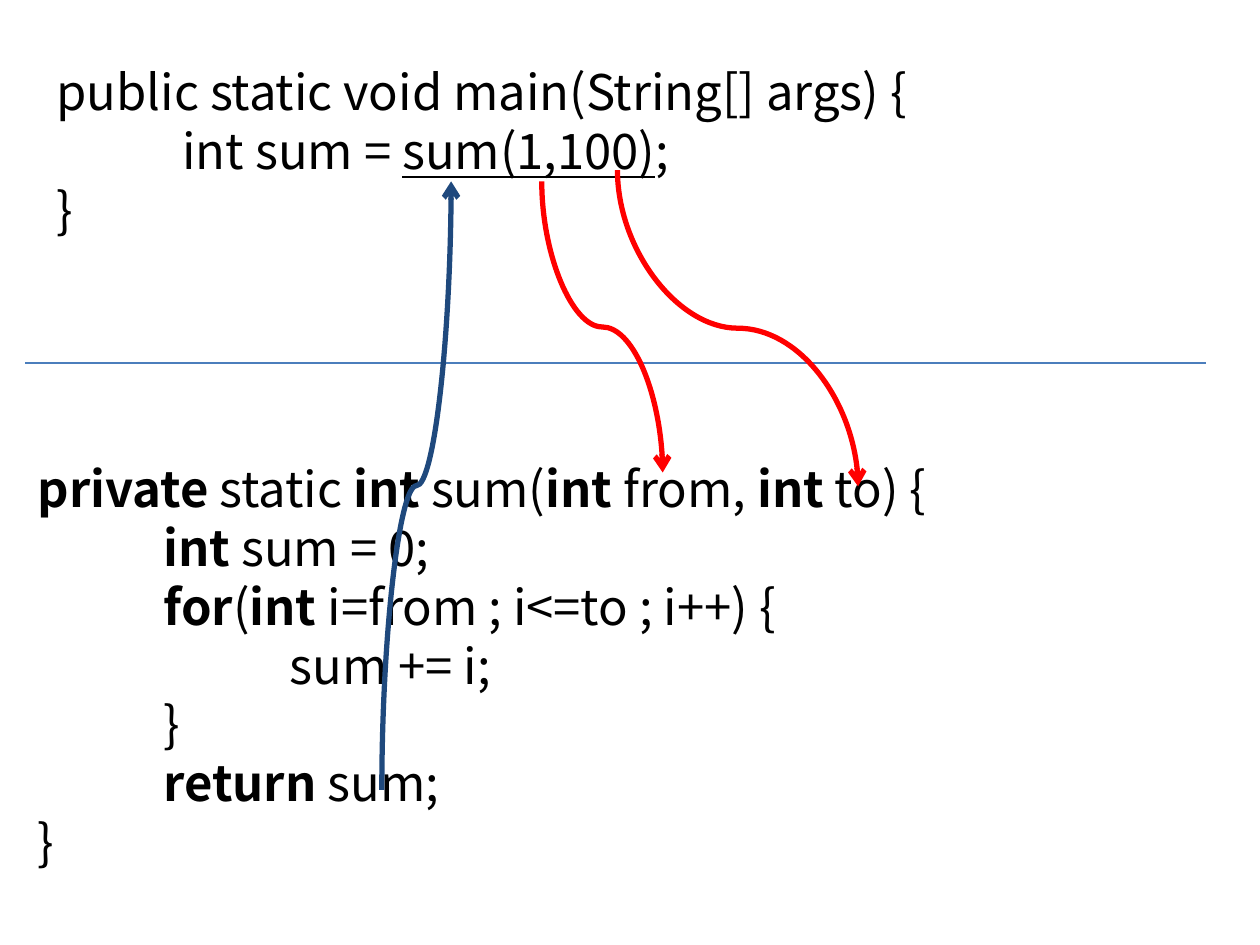
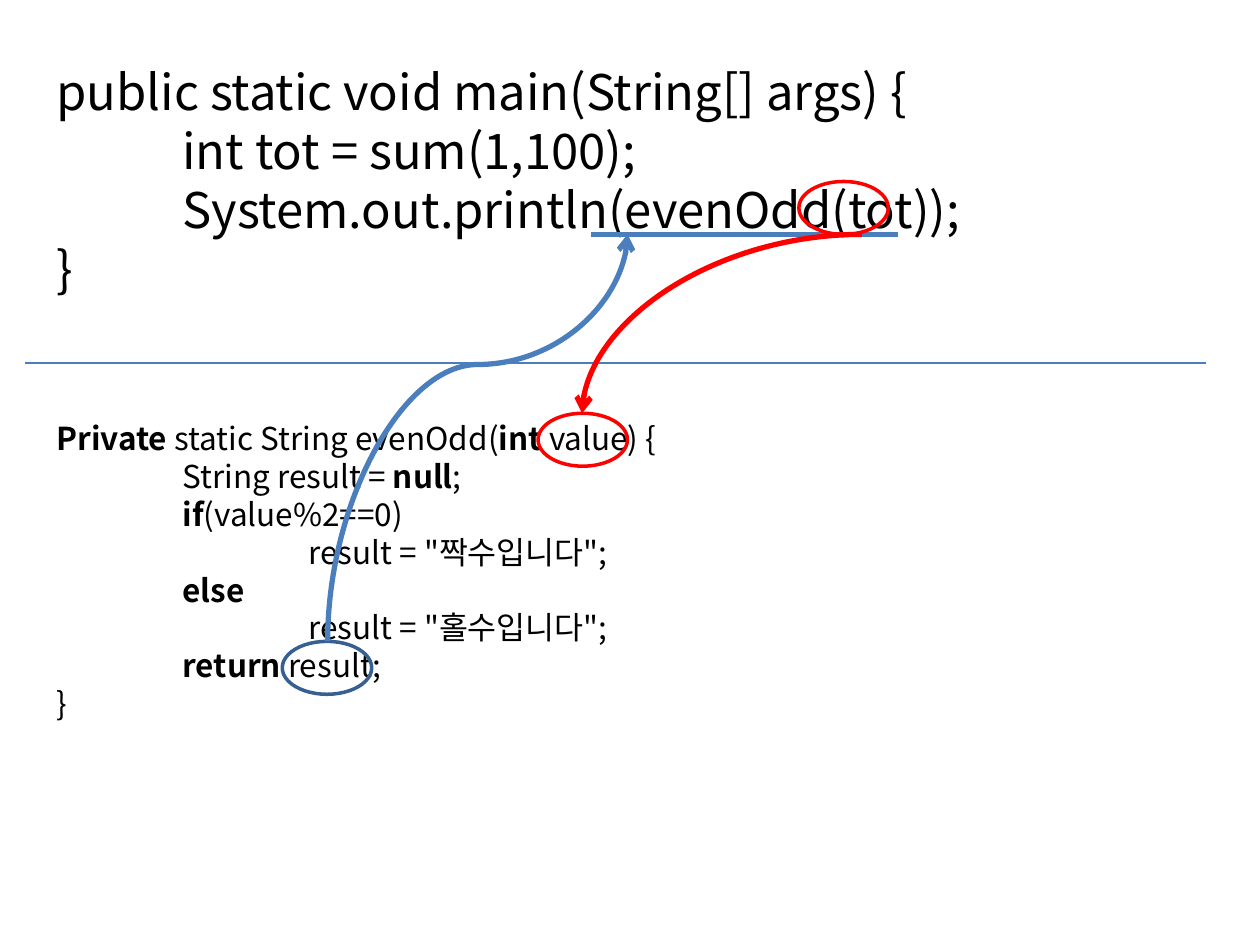
from dataclasses import dataclass
from math import cos, radians, sin

from lxml.etree import SubElement
from pptx import Presentation
from pptx.dml.color import RGBColor
from pptx.enum.shapes import MSO_CONNECTOR, MSO_SHAPE
from pptx.enum.text import MSO_AUTO_SIZE, PP_ALIGN
from pptx.oxml.ns import qn
from pptx.util import Inches, Pt


@dataclass(frozen=True)
class Theme:
    face: str = "Noto Sans CJK KR"
    ink: str = "000000"
    red: str = "FF0000"
    blue: str = "4B7EBC"
    navy: str = "1F497D"
    steel: str = "376092"
    large: int = 28
    small: int = 18
    thin: float = 0.75
    ring: float = 2
    bold: float = 3


THEME = Theme()
RING = (0.71, 0.42)
SPLIT = 2.88

SUM_MAIN = """public static void main(String[] args) {
\tint sum = _sum(1,100)_;
}"""

SUM_BODY = """*private *static *int* sum(*int* from, *int* to) {
\t*int* sum = 0;
\t*for*(*int *i=from ; i<=to ; i++) {
\t\tsum += i;
\t}
\t*return* sum;
}"""

ODD_MAIN = """public static void main(String[] args) {
\tint tot = sum(1,100);
\tSystem.out.println(evenOdd(tot));
}"""

ODD_BODY = """*Private *static String evenOdd(*int *value) {
\tString result = *null*;
\t*if*(value%2==0)
\t\tresult = "짝수입니다";
\t*else*
\t\tresult = "홀수입니다";
\t*return* result;
}"""


def set_tabs(para):
    props = para._p.get_or_add_pPr()
    tabs = SubElement(props, qn("a:tabLst"))
    for stop in (1, 2):
        SubElement(tabs, qn("a:tab"), pos=str(Inches(stop)), algn="l")


def set_font(para, size):
    font = para.font
    font.size = Pt(size)
    font.name = THEME.face
    font.color.rgb = RGBColor.from_string(THEME.ink)
    SubElement(para._p.pPr.defRPr, qn("a:ea"), typeface=THEME.face)


def add_code(slide, box, code, size):
    frame = slide.shapes.add_textbox(*map(Inches, box)).text_frame
    frame.word_wrap = True
    frame.auto_size = MSO_AUTO_SIZE.SHAPE_TO_FIT_TEXT
    for row, line in enumerate(code.split("\n")):
        para = frame.add_paragraph() if row else frame.paragraphs[0]
        para.alignment = PP_ALIGN.LEFT
        set_tabs(para)
        set_font(para, size)
        for i, chunk in enumerate(line.split("*")):
            for j, text in enumerate(chunk.split("_")):
                if text:
                    run = para.add_run()
                    run.text = text
                    if i % 2:
                        run.font.bold = True
                    if j % 2:
                        run.font.underline = True


def add_line(slide, start, end, color, width, kind=MSO_CONNECTOR.STRAIGHT):
    link = slide.shapes.add_connector(kind, *map(Inches, (*start, *end)))
    link.line.color.rgb = RGBColor.from_string(color)
    link.line.width = Pt(width)
    SubElement(link._element.spPr, qn("a:effectLst"))
    return link


def add_curve(slide, start, end, color, turn, preset="curvedConnector3", bend=None):
    mid = [(a + b) / 2 for a, b in zip(start, end)]
    c, s = cos(radians(turn)), sin(radians(turn))

    def unturn(point):
        x, y = point[0] - mid[0], point[1] - mid[1]
        return mid[0] + x * c + y * s, mid[1] - x * s + y * c

    link = add_line(slide, unturn(start), unturn(end), color, THEME.bold,
                    MSO_CONNECTOR.CURVE)
    props = link._element.spPr
    props.find(qn("a:xfrm")).set("rot", str(turn * 60000))
    geom = props.find(qn("a:prstGeom"))
    geom.set("prst", preset)
    if bend:
        SubElement(geom.find(qn("a:avLst")), qn("a:gd"),
                   name="adj1", fmla=f"val {round(bend * 100000)}")
    SubElement(props.find(qn("a:ln")), qn("a:tailEnd"), type="arrow")


def add_ring(slide, left, top, color):
    ring = slide.shapes.add_shape(MSO_SHAPE.OVAL, *map(Inches, (left, top, *RING)))
    ring.shadow.inherit = False
    ring.fill.background()
    ring.line.color.rgb = RGBColor.from_string(color)
    ring.line.width = Pt(THEME.ring)


def add_page(deck, main, high, body, box, size):
    slide = deck.slides.add_slide(deck.slide_layouts[6])
    add_code(slide, (0.35, 0.44, 8.66, high), main, THEME.large)
    add_line(slide, (0.2, SPLIT), (9.57, SPLIT), THEME.blue, THEME.thin)
    add_code(slide, box, body, size)
    return slide


def sum_page(deck):
    slide = add_page(deck, SUM_MAIN, 1.51, SUM_BODY,
                     (0.2, 3.59, 9.21, 3.4), THEME.large)
    add_curve(slide, (4.3, 1.44), (5.26, 3.75), THEME.red, 270)
    add_curve(slide, (4.9, 1.35), (6.81, 3.86), THEME.red, 270)
    add_curve(slide, (3.03, 6.27), (3.58, 1.44), THEME.navy, 90)


def odd_page(deck):
    slide = add_page(deck, ODD_MAIN, 1.99, ODD_BODY,
                     (0.35, 3.28, 8.98, 2.52), THEME.small)
    add_line(slide, (4.69, 1.86), (7.13, 1.86), THEME.blue, THEME.bold)
    add_ring(slide, 6.34, 1.44, THEME.red)
    add_curve(slide, (6.84, 1.86), (4.62, 3.28), THEME.red, 180, "curvedConnector2")
    add_ring(slide, 4.27, 3.28, THEME.red)
    add_ring(slide, 2.24, 5.09, THEME.steel)
    add_curve(slide, (2.6, 5.09), (4.98, 1.86), THEME.blue, 90, bend=0.68)


def main():
    deck = Presentation()
    deck.slide_width, deck.slide_height = Inches(10), Inches(7.5)
    sum_page(deck)
    odd_page(deck)
    deck.save("out.pptx")


if __name__ == "__main__":
    main()
